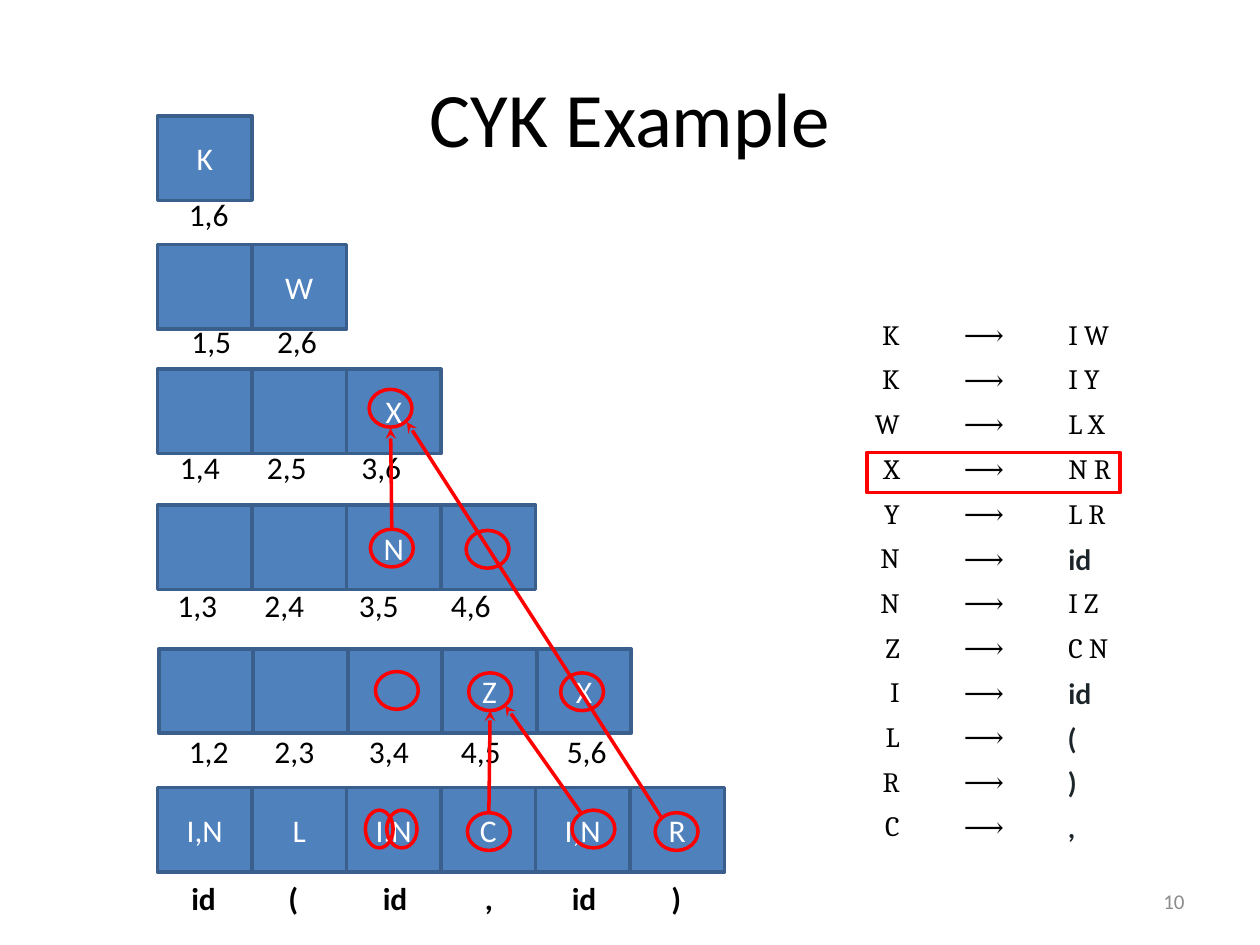
from lxml.etree import SubElement
from pptx import Presentation
from pptx.dml.color import RGBColor as Color
from pptx.enum.shapes import MSO_CONNECTOR as Link, MSO_SHAPE as Kind
from pptx.enum.text import MSO_ANCHOR as Anchor, PP_ALIGN as Align
from pptx.oxml.ns import qn
from pptx.util import Pt

PX = 9144
SIZE = 6
STEP, TALL = 75, 67
BLACK = Color(0x00, 0x00, 0x00)
WHITE = Color(0xFF, 0xFF, 0xFF)
GREY = Color(0x8C, 0x8C, 0x8C)
INK = Color(0x1B, 0x25, 0x2A)
BLUE = Color(0x4F, 0x81, 0xBD)
EDGE = Color(0x3A, 0x5F, 0x8C)
RED = Color(0xFF, 0x00, 0x00)

ROWS = [
    (125, 625, ["I,N", "L", "I,N", "C", "I,N", "R"]),
    (126, 515, ["", "", "", "Z", "X"]),
    (125, 401, ["", "", "N", ""]),
    (125, 293, ["", "", "X"]),
    (125, 194, ["", "W"]),
    (125, 92, ["K"]),
]
SPANS = [
    (576, [140, 208, 283, 356, 440]),
    (460, [131, 200, 275, 348]),
    (351, [133, 202, 277]),
    (251, [142, 210]),
    (150, [140]),
]
WORDS = [("id", 142, 40), ("(", 219, 28), ("id", 294, 40),
         (",", 375, 27), ("id", 444, 40), (")", 523, 28)]
RULES = [("K", "I W"), ("K", "I Y"), ("W", "L X"), ("X", "N R"),
         ("Y", "L R"), ("N", "id"), ("N", "I Z"), ("Z", "C N"),
         ("I", "id"), ("L", "("), ("R", ")"), ("C", ",")]
RINGS = [(371, 645, 34), (454, 643, 34), (372, 534, 34), (290, 643, 22),
         (370, 421, 34), (307, 643, 24), (298, 533, 34), (445, 534, 34),
         (520, 645, 34), (294, 420, 34), (293, 309, 34)]
ARROWS = [(461, 645, 401, 560), (388, 645, 389, 564),
          (525, 649, 323, 335), (311, 420, 310, 340)]


def scale(*nums):
    """Turn px into EMU."""
    return [num * PX for num in nums]


def write(frame, text, size, color=BLACK, face="Calibri", bold=False,
          align=Align.LEFT):
    """Put one styled run into a text frame."""
    para = frame.paragraphs[0]
    para.alignment = align
    run = para.add_run()
    run.text = text
    font = run.font
    font.size, font.name, font.bold = Pt(size), face, bold
    font.color.rgb = color


def add_text(slide, box, text, size, wrap=False, anchor=Anchor.TOP, **look):
    """Add a text box."""
    frame = slide.shapes.add_textbox(*scale(*box)).text_frame
    frame.word_wrap = wrap
    frame.vertical_anchor = anchor
    write(frame, text, size, **look)


def add_shape(slide, kind, box, line, fill=None):
    """Add an outlined shape, filled if a colour is given."""
    shape = slide.shapes.add_shape(kind, *scale(*box))
    shape.shadow.inherit = False
    shape.line.color.rgb = line
    shape.line.width = Pt(2)
    if fill is None:
        shape.fill.background()
    else:
        shape.fill.solid()
        shape.fill.fore_color.rgb = fill
    return shape


def add_row(slide, left, top, names):
    """Add one row of chart cells."""
    for col, name in enumerate(names):
        box = (left + col * STEP, top, STEP, TALL)
        cell = add_shape(slide, Kind.RECTANGLE, box, EDGE, BLUE)
        if name:
            cell.text_frame.vertical_anchor = Anchor.MIDDLE
            write(cell.text_frame, name, 18, WHITE, align=Align.CENTER)


def add_spans(slide, gap, top, lefts):
    """Label each cell of a row with its start and end."""
    for start, left in enumerate(lefts, 1):
        add_text(slide, (left, top, 52, 40), f"{start},{start + gap}", 18)


def fill_cell(cell, text, **look):
    """Style one table cell and write into it."""
    cell.fill.solid()
    cell.fill.fore_color.rgb = WHITE
    cell.vertical_anchor = Anchor.MIDDLE
    cell.margin_left = cell.margin_right = 9 * PX
    cell.margin_top = cell.margin_bottom = 4 * PX
    write(cell.text_frame, text, 16, **look)


def add_rules(slide):
    """Add the grammar table."""
    box = scale(611, 249, 340, 426)
    table = slide.shapes.add_table(len(RULES), 3, *box).table
    table.first_row = table.horz_banding = False
    for col, width in zip(table.columns, scale(112, 116, 112)):
        col.width = width
    for num, (head, body) in enumerate(RULES):
        fill_cell(table.cell(num, 0), head, face="Cambria", align=Align.RIGHT)
        fill_cell(table.cell(num, 1), "⟶", face="Times New Roman",
                  align=Align.CENTER)
        if body[0].isupper():
            look = dict(face="Cambria")
        else:
            look = dict(face="Lato", color=INK, bold=True)
        fill_cell(table.cell(num, 2), body, **look)


def add_arrow(slide, ends):
    """Add a red arrow."""
    arrow = slide.shapes.add_connector(Link.STRAIGHT, *scale(*ends))
    arrow.line.color.rgb = RED
    arrow.line.width = Pt(2)
    SubElement(arrow.line._get_or_add_ln(), qn("a:tailEnd"), type="stealth")
    SubElement(arrow._element.spPr, qn("a:effectLst"))


def main():
    """Build the slide and save it."""
    deck = Presentation()
    deck.slide_width, deck.slide_height = scale(1000, 750)
    slide = deck.slides.add_slide(deck.slide_layouts[6])
    add_text(slide, (50, 30, 900, 125), "CYK Example", 44, wrap=True,
             anchor=Anchor.MIDDLE, align=Align.CENTER)
    add_text(slide, (717, 695, 233, 40), "10", 12, wrap=True,
             anchor=Anchor.MIDDLE, color=GREY, align=Align.RIGHT)
    for row in ROWS:
        add_row(slide, *row)
    add_rules(slide)
    for word, left, width in WORDS:
        add_text(slide, (left, 693, width, 40), word, 18, bold=True)
    for gap, (top, lefts) in enumerate(SPANS, 1):
        add_spans(slide, gap, top, lefts)
    for left, top, width in RINGS:
        add_shape(slide, Kind.OVAL, (left, top, width, 30), RED)
    add_shape(slide, Kind.RECTANGLE, (688, 359, 201, 32), RED)
    for ends in ARROWS:
        add_arrow(slide, ends)
    deck.save("out.pptx")


if __name__ == "__main__":
    main()
